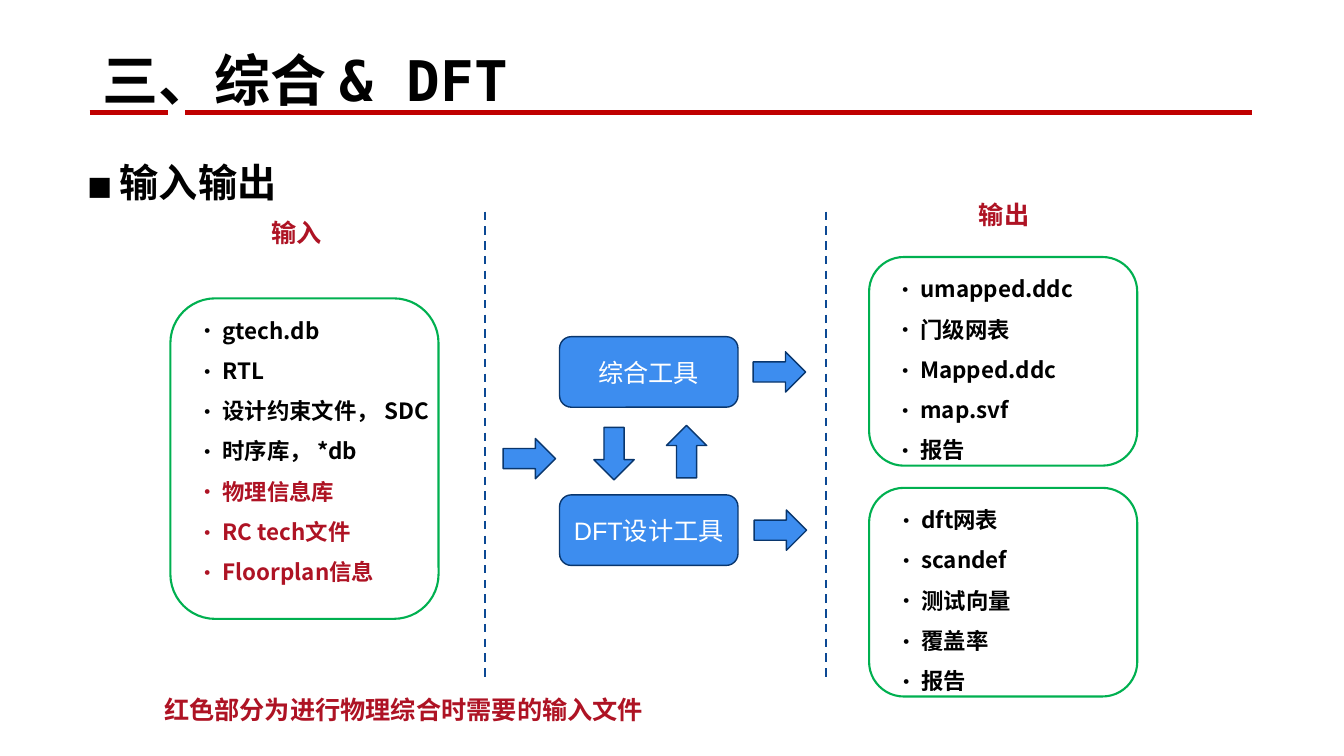
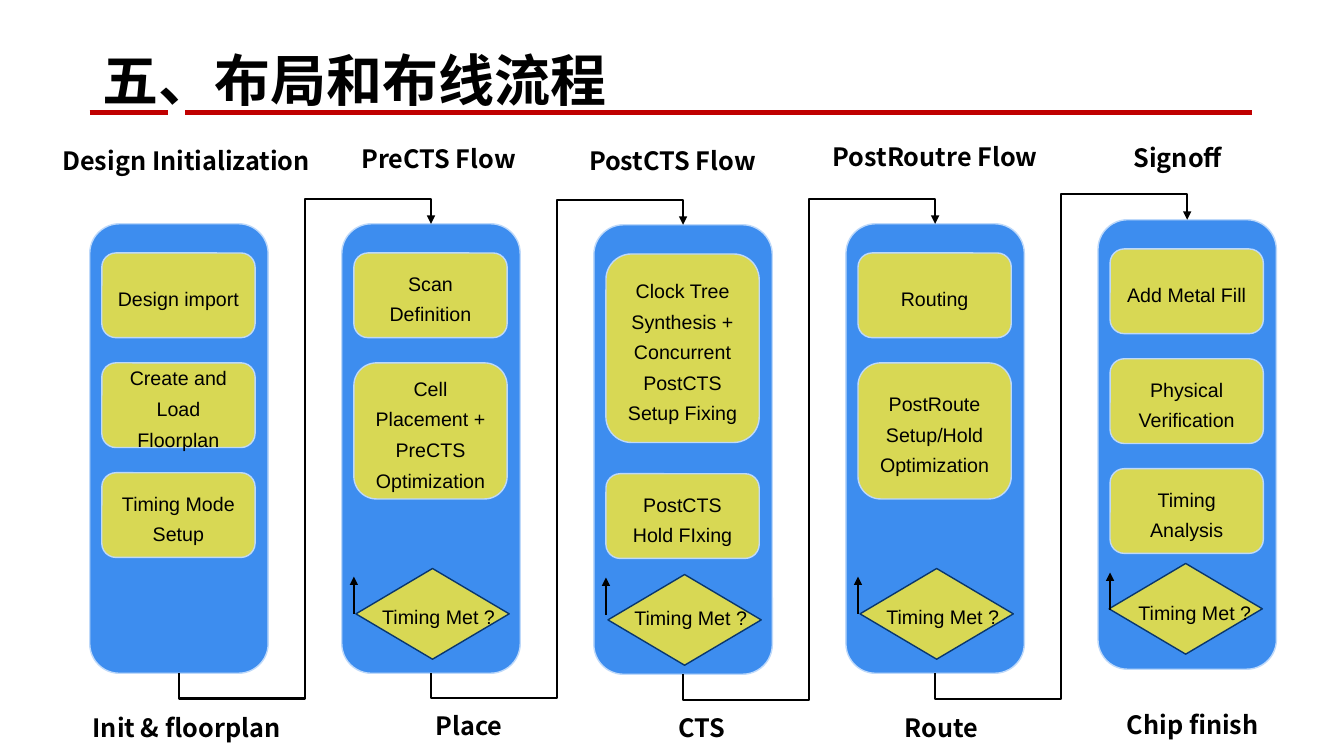
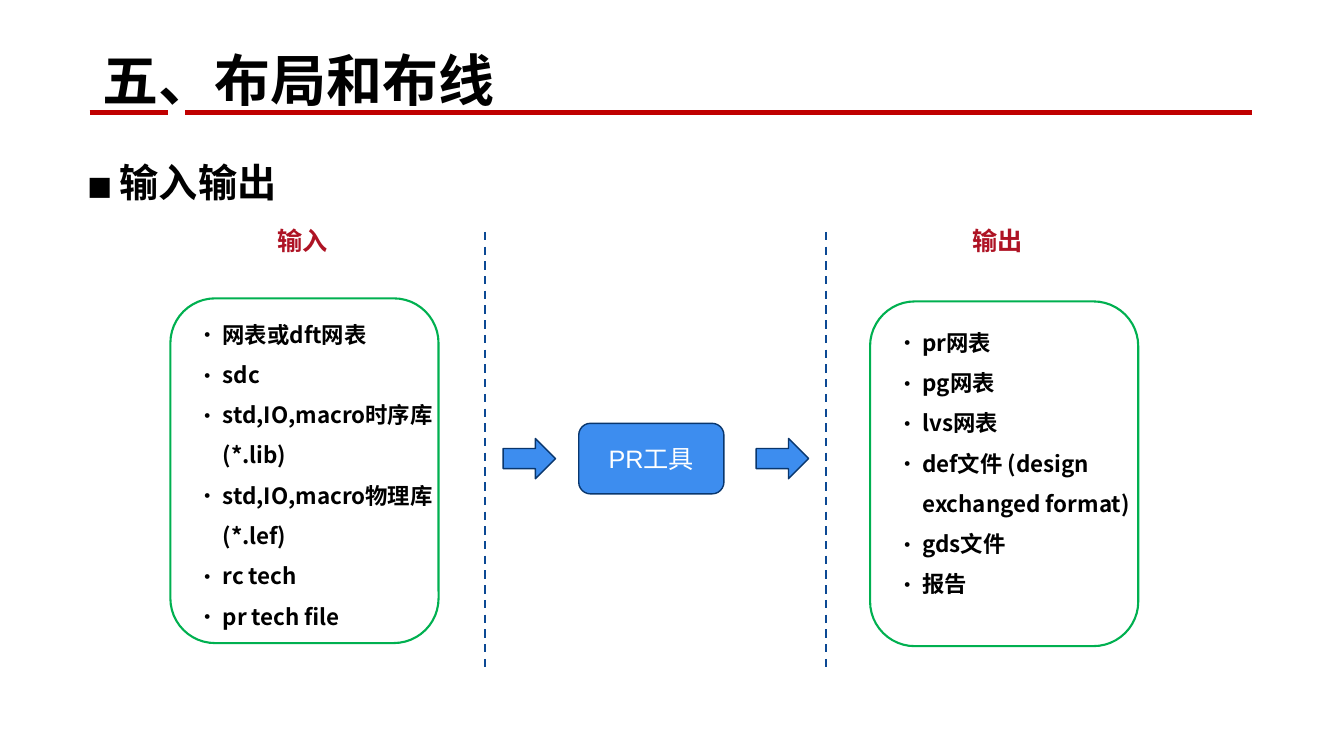
from dataclasses import dataclass
from typing import NamedTuple, Optional

from lxml.etree import SubElement
from pptx import Presentation
from pptx.dml.color import RGBColor
from pptx.enum.dml import MSO_LINE_DASH_STYLE as Dash
from pptx.enum.shapes import MSO_CONNECTOR as Link, MSO_SHAPE as Kind
from pptx.enum.text import MSO_ANCHOR as Anchor, MSO_AUTO_SIZE as AutoSize, PP_ALIGN as Align
from pptx.oxml.ns import qn
from pptx.util import Emu, Pt

EMU_PER_PX = 9144

BLACK = RGBColor(0x00, 0x00, 0x00)
WHITE = RGBColor(0xFF, 0xFF, 0xFF)
RULE_RED = RGBColor(0xC0, 0x00, 0x00)
TEXT_RED = RGBColor(0xAE, 0x13, 0x24)
GREEN = RGBColor(0x00, 0xB0, 0x50)
BLUE = RGBColor(0x3D, 0x8D, 0xEF)
NAVY = RGBColor(0x09, 0x36, 0x6D)
DASH_BLUE = RGBColor(0x0C, 0x49, 0x94)
PALE_BLUE = RGBColor(0xBE, 0xD9, 0xFA)
YELLOW = RGBColor(0xD8, 0xD8, 0x54)

CJK = "Noto Sans CJK SC"
MONO = "DejaVu Sans Mono"
CONDENSED = "Roboto Condensed"
SANS = "Arial"


class Area(NamedTuple):
    left: int
    top: int
    width: int
    height: int


class Style(NamedTuple):
    size: int
    face: str = CJK
    color: RGBColor = BLACK
    bold: bool = True
    align: Align = Align.LEFT
    spacing: Optional[float] = None


class Bullet(NamedTuple):
    sign: str
    indent: int


class Item(NamedTuple):
    text: str
    color: RGBColor = BLACK


class Arrow(NamedTuple):
    left: int
    top: int
    turn: int = 0


class Step(NamedTuple):
    slot: int
    height: int
    text: str


class Label(NamedTuple):
    text: str
    left: int
    top: int
    width: int
    align: Align = Align.CENTER


@dataclass(frozen=True)
class Panel:
    frame: Area
    text_left: int
    text_top: int
    items: tuple[Item, ...]


@dataclass(frozen=True)
class Stage:
    top: int
    steps: tuple[Step, ...]
    head: Label
    foot: Label
    diamond: Optional[tuple[int, int]] = None


HEADING = Style(28, spacing=1.5)
LIST = Style(16, spacing=1.5)
CAPTION = Style(18, color=TEXT_RED)
NOTE = Style(18, SANS, TEXT_RED)
TOOL = Style(18, SANS, WHITE, False, Align.CENTER)
STEP = Style(14, SANS, BLACK, False, Align.CENTER, 1.3)
SQUARE = Bullet("◼", 32)
DOT = Bullet("•", 26)

STAGE_LEFT, STAGE_PITCH, STAGE_WIDTH, STAGE_HEIGHT = 89, 250, 177, 446
STEP_INSET, STEP_TOP, STEP_PITCH, STEP_WIDTH = 12, 29, 109, 152
ELBOW_REACH = 25


def px(length: float) -> Emu:
    return Emu(round(length * EMU_PER_PX))


def emu(area: Area) -> list[Emu]:
    return [px(length) for length in area]


def set_font(font, style: Style, face: Optional[str] = None) -> None:
    font.size, font.bold = Pt(style.size), style.bold
    font.color.rgb = style.color
    font.name = face or style.face
    SubElement(font._element, qn("a:ea"), typeface=CJK)


def add_bullet(para, bullet: Bullet, color: RGBColor) -> None:
    props = para._p.get_or_add_pPr()
    props.set("marL", str(px(bullet.indent)))
    props.set("indent", str(-px(bullet.indent)))
    SubElement(SubElement(props, qn("a:buClr")), qn("a:srgbClr"), val=str(color))
    SubElement(props, qn("a:buFont"), typeface=CJK)
    SubElement(props, qn("a:buChar"), char=bullet.sign)


def write(frame, items: tuple[Item, ...], style: Style, bullet: Optional[Bullet] = None) -> None:
    frame.word_wrap = True
    for index, item in enumerate(items):
        para = frame.add_paragraph() if index else frame.paragraphs[0]
        para.text, para.alignment = item.text, style.align
        if style.spacing:
            para.line_spacing = style.spacing
        if bullet:
            add_bullet(para, bullet, item.color)
        set_font(para.font, style._replace(color=item.color))


def add_text(page, area: Area, text: str, style: Style, bullet: Optional[Bullet] = None) -> None:
    box = page.shapes.add_textbox(*emu(area))
    write(box.text_frame, (Item(text, style.color),), style, bullet)


def add_box(page, kind: Kind, area: Area, fill: RGBColor, edge: RGBColor, width: float = 1,
            text: str = "", style: Style = STEP):
    """Draw a filled shape; each line of the text becomes a paragraph."""
    box = page.shapes.add_shape(kind, *emu(area))
    box.shadow.inherit = False
    box.fill.solid()
    box.fill.fore_color.rgb = fill
    box.line.color.rgb, box.line.width = edge, Pt(width)
    if text:
        box.text_frame.vertical_anchor = Anchor.MIDDLE
        write(box.text_frame, tuple(Item(line, style.color) for line in text.split("\n")), style)
    return box


def add_line(page, start: tuple[int, int], end: tuple[int, int], color: RGBColor,
             width: float = 1.5, kind: Link = Link.STRAIGHT, arrow: bool = False):
    line = page.shapes.add_connector(kind, *emu(start + end))
    line.line.color.rgb, line.line.width = color, Pt(width)
    SubElement(line._element.spPr, qn("a:effectLst"))
    if arrow:
        SubElement(line.line._get_or_add_ln(), qn("a:tailEnd"), type="triangle")
    return line


def add_page(deck, *title: tuple[str, str]):
    """Add a slide with its title, given as (text, typeface) runs, and the red rule."""
    page = deck.slides.add_slide(deck.slide_layouts[5])
    holder = page.shapes.title
    holder.left, holder.top, holder.width, holder.height = emu(Area(92, 0, 1150, 112))
    frame = holder.text_frame
    frame.auto_size, frame.word_wrap = AutoSize.NONE, True
    frame.vertical_anchor, frame.margin_bottom = Anchor.BOTTOM, 0
    para = frame.paragraphs[0]
    para.alignment = Align.LEFT
    for text, face in title:
        span = para.add_run()
        span.text = text
        set_font(span.font, Style(40), face)
    for left, right in ((89, 167), (184, 1242)):
        add_line(page, (left, 112), (right, 112), RULE_RED, 3.5)
    return page


def add_panel(page, panel: Panel) -> None:
    add_box(page, Kind.ROUNDED_RECTANGLE, panel.frame, WHITE, GREEN, 1.5)
    area = Area(panel.text_left, panel.text_top, 261, panel.frame.height)
    write(page.shapes.add_textbox(*emu(area)).text_frame, panel.items, LIST, DOT)


def add_exchange(page, dividers: tuple[int, int], captions: tuple[tuple[str, int, int], ...],
                 panels: tuple[Panel, ...], tools: tuple[tuple[str, Area], ...],
                 arrows: tuple[Arrow, ...]) -> None:
    """Draw inputs, tools and outputs, parted by two dashed lines."""
    add_text(page, Area(77, 129, 384, 72), "输入输出", HEADING, SQUARE)
    for x in (481, 819):
        add_line(page, (x, dividers[0]), (x, dividers[1]), DASH_BLUE).line.dash_style = Dash.DASH
    for text, left, top in captions:
        add_text(page, Area(left, top, 83, 40), text, CAPTION)
    for panel in panels:
        add_panel(page, panel)
    for text, area in tools:
        add_box(page, Kind.ROUNDED_RECTANGLE, area, BLUE, NAVY, text=text, style=TOOL)
    for arrow in arrows:
        area = Area(arrow.left, arrow.top, 52, 40)
        add_box(page, Kind.RIGHT_ARROW, area, BLUE, NAVY).rotation = arrow.turn


def add_stage(page, stage: Stage, left: int):
    area = Area(left, stage.top, STAGE_WIDTH, STAGE_HEIGHT)
    column = add_box(page, Kind.ROUNDED_RECTANGLE, area, BLUE, PALE_BLUE)
    for step in stage.steps:
        top = stage.top + STEP_TOP + step.slot * STEP_PITCH
        area = Area(left + STEP_INSET, top, STEP_WIDTH, step.height)
        add_box(page, Kind.ROUNDED_RECTANGLE, area, YELLOW, PALE_BLUE, text=step.text)
    if stage.diamond:
        across, down = stage.diamond
        area = Area(left + across, stage.top + down, STEP_WIDTH, 90)
        add_box(page, Kind.DIAMOND, area, YELLOW, NAVY)
        add_text(page, Area(left + 30, stage.top + 366, 132, 38), "Timing Met ?", STEP)
        x = left + STEP_INSET
        add_line(page, (x, stage.top + 387), (x, stage.top + 350), BLACK, arrow=True)
    for label in (stage.head, stage.foot):
        area = Area(label.left, label.top, label.width, 40)
        add_text(page, area, label.text, Style(18, align=label.align))
    return column


def add_elbow(page, source, target) -> None:
    """Lead from the bottom of one column round to the top of the next."""
    line = add_line(page, (0, 0), (1, 1), BLACK, kind=Link.ELBOW, arrow=True)
    line.begin_connect(source, 2)
    line.end_connect(target, 0)
    start_x, start_y, end_x, end_y = line.begin_x, line.begin_y, line.end_x, line.end_y
    across, rise = end_x - start_x, start_y - end_y
    line.left, line.top = (start_x + end_x - rise) // 2, (start_y + end_y - across) // 2
    line.width, line.height = rise, across
    props = line._element.spPr
    frame = props.find(qn("a:xfrm"))
    frame.attrib.pop("flipV", None)
    frame.set("rot", str(270 * 60000))
    shape = props.find(qn("a:prstGeom"))
    shape.set("prst", "bentConnector5")
    guides = shape.find(qn("a:avLst"))
    reach = round(100000 * px(ELBOW_REACH) / rise)
    for number, value in enumerate((-reach, 50000, 100000 + reach), 1):
        SubElement(guides, qn("a:gd"), name=f"adj{number}", fmla=f"val {value}")


def items(*texts: str, color: RGBColor = BLACK) -> tuple[Item, ...]:
    return tuple(Item(text, color) for text in texts)


def build_synthesis(deck) -> None:
    page = add_page(deck, ("三、综合 & DFT", MONO))
    inputs = items("gtech.db", "RTL", "设计约束文件， SDC", "时序库， *db")
    physical = items("物理信息库", "RC tech文件", "Floorplan信息", color=TEXT_RED)
    mapped = items("umapped.ddc", "门级网表", "Mapped.ddc", "map.svf", "报告")
    tested = items("dft网表", "scandef", "测试向量", "覆盖率", "报告")
    add_exchange(
        page, (210, 673), (("输入", 259, 211), ("输出", 961, 193)),
        (Panel(Area(169, 296, 266, 318), 185, 296, inputs + physical),
         Panel(Area(862, 255, 266, 207), 877, 255, mapped),
         Panel(Area(862, 484, 266, 207), 878, 484, tested)),
        (("综合工具", Area(555, 334, 177, 70)), ("DFT设计工具", Area(555, 491, 177, 70))),
        (Arrow(499, 435), Arrow(747, 349), Arrow(748, 506),
         Arrow(583, 430, 90), Arrow(655, 428, 270)))
    add_text(page, Area(153, 684, 666, 40), "红色部分为进行物理综合时需要的输入文件", NOTE)


def build_flow(deck) -> None:
    page = add_page(deck, ("五、", MONO), ("布局和布线流程", CONDENSED))
    stages = (
        Stage(222, (Step(0, 84, "Design import"), Step(1, 84, "Create and\nLoad Floorplan"),
                    Step(2, 84, "Timing Mode Setup")),
              Label("Design Initialization", 52, 139, 299, Align.LEFT),
              Label("Init & floorplan", 82, 702, 250, Align.LEFT)),
        Stage(222, (Step(0, 84, "Scan Definition"),
                    Step(1, 135, "Cell Placement + PreCTS Optimization")),
              Label("PreCTS Flow", 327, 137, 216), Label("Place", 357, 700, 216), (14, 342)),
        Stage(223, (Step(0, 187, "Clock Tree Synthesis + Concurrent PostCTS Setup Fixing"),
                    Step(2, 84, "PostCTS\nHold FIxing")),
              Label("PostCTS Flow", 559, 139, 216), Label("CTS", 588, 702, 216), (14, 347)),
        Stage(222, (Step(0, 84, "Routing"), Step(1, 135, "PostRoute Setup/Hold Optimization")),
              Label("PostRoutre Flow", 805, 135, 245), Label("Route", 826, 702, 216), (14, 342)),
        Stage(218, (Step(0, 84, "Add Metal Fill"), Step(1, 84, "Physical Verification"),
                    Step(2, 84, "Timing Analysis")),
              Label("Signoff", 1060, 136, 216), Label("Chip finish", 1075, 699, 216), (11, 341)),
    )
    columns = [add_stage(page, stage, STAGE_LEFT + index * STAGE_PITCH)
               for index, stage in enumerate(stages)]
    for source, target in zip(columns, columns[1:]):
        add_elbow(page, source, target)


def build_routing(deck) -> None:
    page = add_page(deck, ("五、", MONO), ("布局和布线", CONDENSED))
    inputs = items("网表或dft网表", "sdc", "std,IO,macro时序库(*.lib)",
                   "std,IO,macro物理库(*.lef)", "rc tech", "pr tech file")
    outputs = items("pr网表", "pg网表", "lvs网表", "def文件 (design exchanged format)",
                    "gds文件", "报告")
    add_exchange(
        page, (230, 662), (("输入", 265, 219), ("输出", 955, 219)),
        (Panel(Area(169, 296, 266, 342), 185, 300, inputs),
         Panel(Area(863, 299, 266, 342), 879, 308, outputs)),
        (("PR工具", Area(574, 420, 144, 70)),),
        (Arrow(499, 435), Arrow(750, 435)))


def main() -> None:
    deck = Presentation()
    deck.slide_width, deck.slide_height = px(1333), px(750)
    build_synthesis(deck)
    build_flow(deck)
    build_routing(deck)
    deck.save("out.pptx")


if __name__ == "__main__":
    main()
